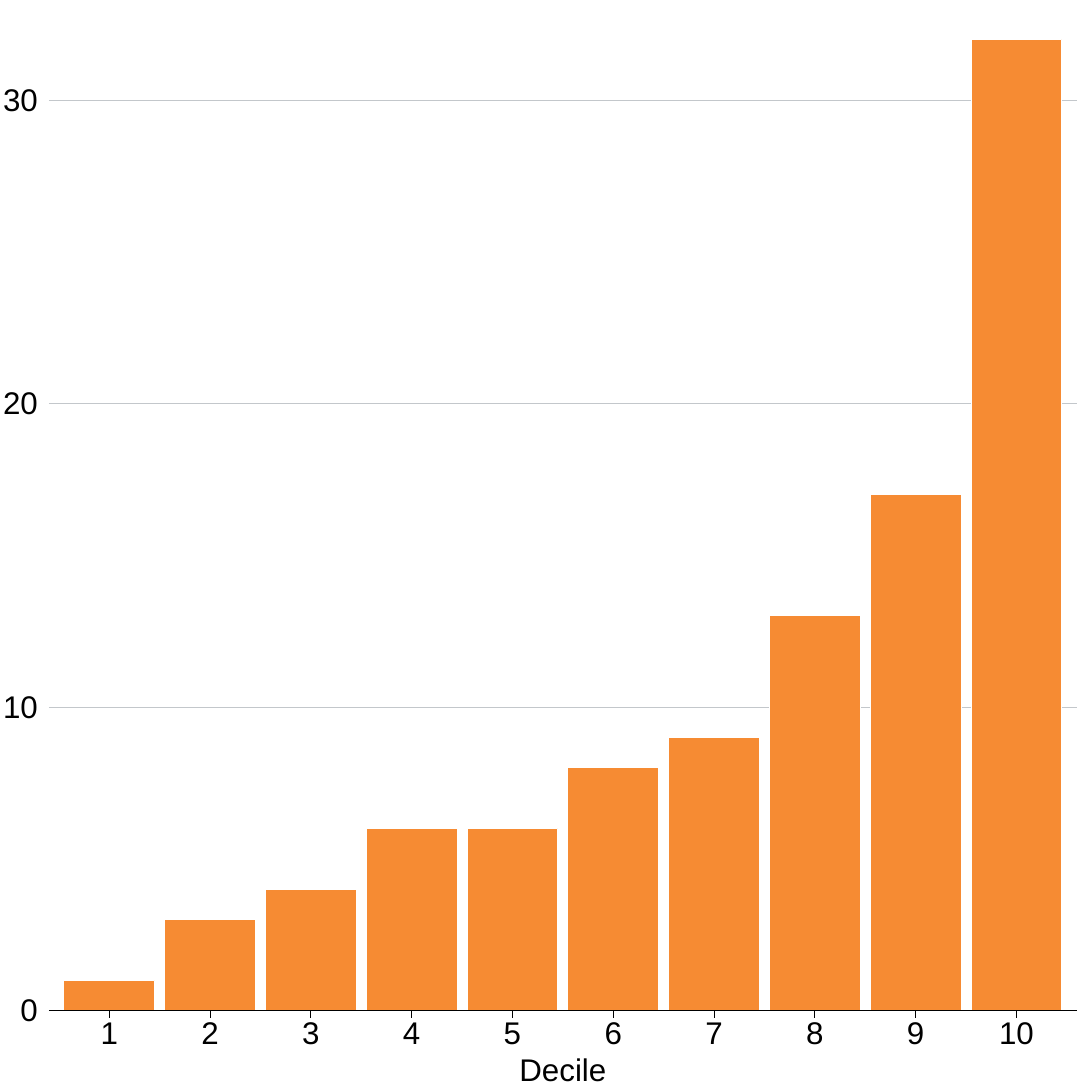
from lxml import etree
from pptx import Presentation
from pptx.chart.data import CategoryChartData
from pptx.dml.color import RGBColor
from pptx.enum.chart import XL_CHART_TYPE, XL_TICK_MARK
from pptx.enum.shapes import MSO_CONNECTOR
from pptx.enum.text import MSO_ANCHOR, PP_ALIGN
from pptx.oxml import parse_xml
from pptx.oxml.ns import nsdecls, qn
from pptx.util import Inches, Pt

COLUMNS = XL_CHART_TYPE.COLUMN_CLUSTERED
NO_TICKS, OUTSIDE = XL_TICK_MARK.NONE, XL_TICK_MARK.OUTSIDE
STRAIGHT = MSO_CONNECTOR.STRAIGHT
MIDDLE, CENTER = MSO_ANCHOR.MIDDLE, PP_ALIGN.CENTER

# Content
SHARES = [1, 3, 4, 6, 6, 8, 9, 13, 17, 32]
DECILES = [str(number) for number in range(1, len(SHARES) + 1)]
GRID_VALUES = [10, 20, 30]
AXIS_TITLE = "Decile"
COLORS = {"bar": "F68B33", "grid": "C3C7CB", "ink": "000000", "paper": "FFFFFF"}

# Layout in inches
PAGE = 8.72
PLOT_LEFT, PLOT_TOP, PLOT_WIDTH, PLOT_HEIGHT = 0.47, 0.1, 8.05, 7.97
BASELINE = PLOT_TOP + PLOT_HEIGHT
AXIS_LEFT, AXIS_RIGHT = 0.39, 8.6
TITLE_BOX = (4.0, 8.47, 0.99, 0.18)
TICK = 0.06
TOP_VALUE = 32.89


def color(name):
    return RGBColor.from_string(COLORS[name])


def style_font(font):
    font.name, font.size, font.bold = "Arial", Pt(18), False
    font.color.rgb = color("ink")


def style_line(line, name, width):
    line.color.rgb = color(name)
    line.width = Pt(width)


def add_line(page, x1, y1, x2, y2, name, width):
    line = page.shapes.add_connector(
        STRAIGHT, Inches(x1), Inches(y1), Inches(x2), Inches(y2))
    style_line(line.line, name, width)
    etree.SubElement(line._element.spPr, qn("a:effectLst"))


def clear_fill():
    return parse_xml(f"<c:spPr {nsdecls('c', 'a')}><a:noFill/>"
                     "<a:ln><a:noFill/></a:ln></c:spPr>")


def place_plot(plot_area):
    places = {"layoutTarget": "inner", "xMode": "edge", "yMode": "edge",
              "x": PLOT_LEFT / PAGE, "y": PLOT_TOP / PAGE,
              "w": PLOT_WIDTH / PAGE, "h": PLOT_HEIGHT / PAGE}
    layout = parse_xml(f"<c:layout {nsdecls('c')}><c:manualLayout/></c:layout>")
    for tag, value in places.items():
        etree.SubElement(layout[0], qn(f"c:{tag}")).set("val", str(value))
    for old in plot_area.findall(qn("c:layout")):
        plot_area.remove(old)
    plot_area.insert(0, layout)


def add_column_chart(page):
    data = CategoryChartData()
    data.categories = DECILES
    data.add_series("Share", SHARES)
    chart = page.shapes.add_chart(
        COLUMNS, 0, 0, Inches(PAGE), Inches(PAGE), data).chart
    chart.has_legend = False
    chart.has_title = False
    style_font(chart.font)

    # Bars
    plot = chart.plots[0]
    plot.gap_width = 11
    plot.vary_by_categories = False
    bars = plot.series[0].format
    bars.fill.solid()
    bars.fill.fore_color.rgb = color("bar")
    style_line(bars.line, "paper", 0.56)

    # Axes: the number format leaves a gap to the right of each value
    values, deciles = chart.value_axis, chart.category_axis
    values.minimum_scale, values.maximum_scale = 0, TOP_VALUE
    values.major_unit = 10
    values.has_major_gridlines = False
    values.major_tick_mark = OUTSIDE
    values.tick_labels.number_format = "0_)"
    values.tick_labels.number_format_is_linked = False
    deciles.major_tick_mark = NO_TICKS
    for axis in (values, deciles):
        axis.format.line.fill.background()

    # Clear background, so the grid behind shows
    space = chart._chartSpace
    place_plot(space.chart.plotArea)
    space.chart.plotArea.append(clear_fill())
    space.chart.addnext(clear_fill())


def add_axis_title(page):
    box = page.shapes.add_textbox(*map(Inches, TITLE_BOX))
    frame = box.text_frame
    frame.margin_left = frame.margin_right = 0
    frame.margin_top = frame.margin_bottom = 0
    frame.vertical_anchor = MIDDLE
    frame.text = AXIS_TITLE
    para = frame.paragraphs[0]
    para.alignment = CENTER
    para.line_spacing = Pt(18)
    style_font(para.runs[0].font)


def main():
    deck = Presentation()
    deck.slide_width = deck.slide_height = Inches(PAGE)
    page = deck.slides.add_slide(deck.slide_layouts[6])

    # Grid behind the bars, wider than the plot
    for value in GRID_VALUES:
        y = BASELINE - value / TOP_VALUE * PLOT_HEIGHT
        add_line(page, AXIS_LEFT, y, AXIS_RIGHT, y, "grid", 0.56)

    add_column_chart(page)

    # Baseline, and a tick under the middle of each bar
    add_line(page, AXIS_LEFT, BASELINE, AXIS_RIGHT, BASELINE, "ink", 0.75)
    step = PLOT_WIDTH / len(DECILES)
    for index in range(len(DECILES)):
        middle = PLOT_LEFT + (index + 0.5) * step
        add_line(page, middle, BASELINE, middle, BASELINE + TICK, "ink", 0.56)

    add_axis_title(page)
    deck.save("out.pptx")


if __name__ == "__main__":
    main()
